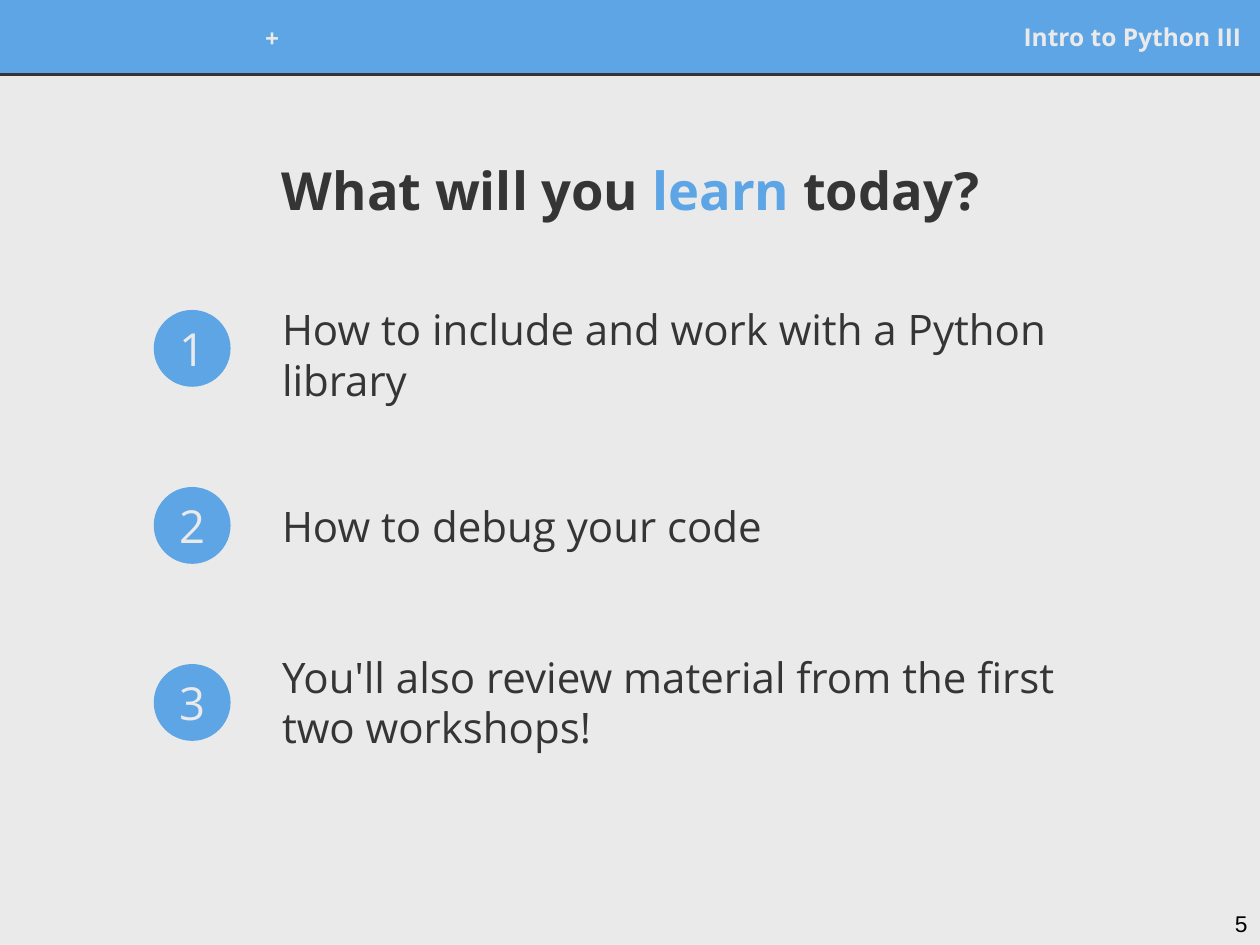
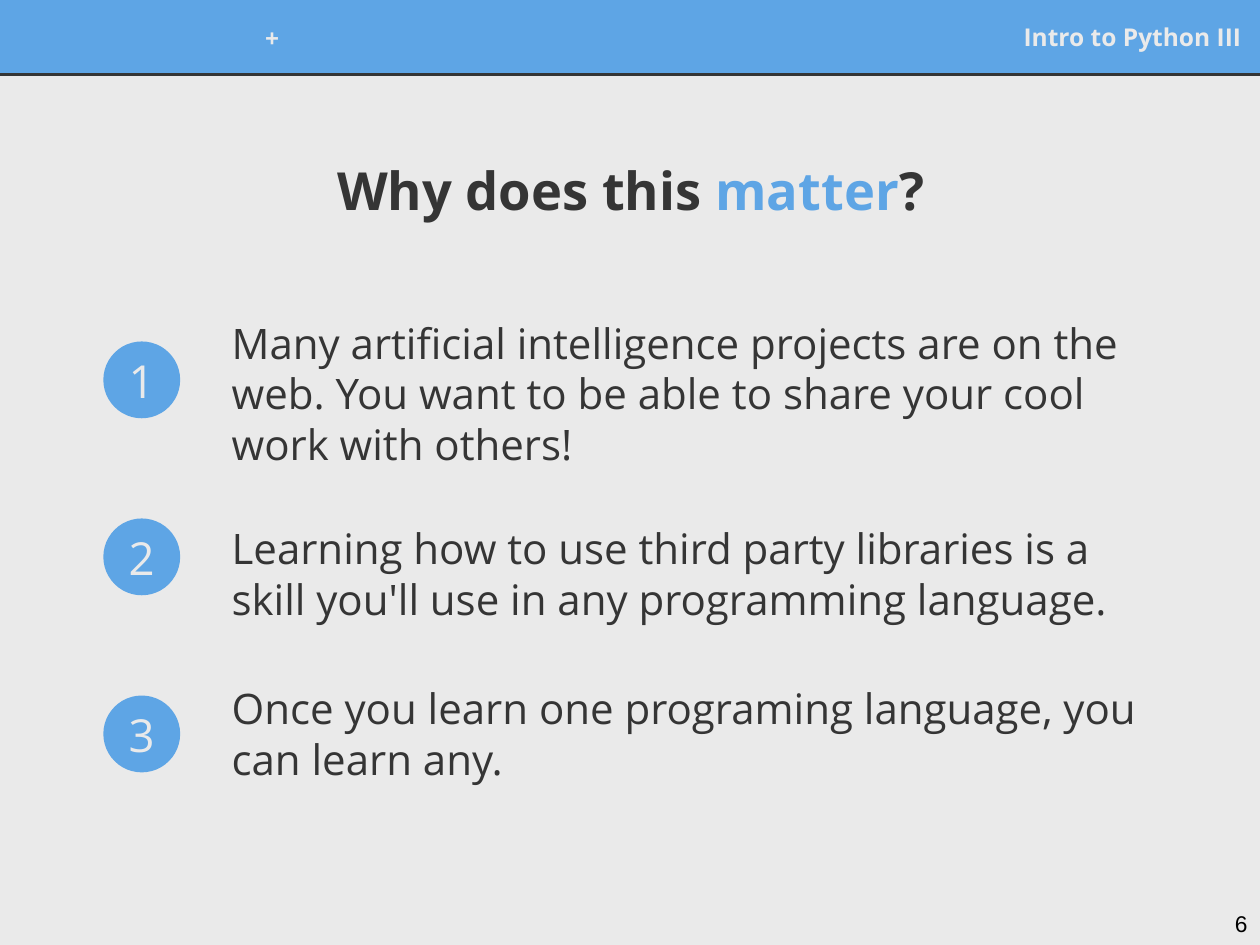
import pptx
import pptx.util
import pptx.dml.color
import pptx.enum.shapes
import pptx.enum.text
import lxml.etree
from pptx.oxml.ns import qn

Inches = pptx.util.Inches
Pt = pptx.util.Pt
RGBColor = pptx.dml.color.RGBColor
ALIGN = pptx.enum.text.PP_ALIGN
ANCHOR = pptx.enum.text.MSO_ANCHOR
SHAPE = pptx.enum.shapes.MSO_SHAPE

BLUE = RGBColor(0x5E, 0xA5, 0xE5)
DARK = RGBColor(0x35, 0x35, 0x35)
PALE = RGBColor(0xEA, 0xEA, 0xEA)
BLACK = RGBColor(0, 0, 0)

SLIDE_WIDTH = 10
BAND_HEIGHT = 0.59
BADGE_SIZE = 0.61
ROW_PITCH = 1.405
FIRST_PAGE = 5

LESSONS = [
    ("How to include and work with a Python library", 0.15, 7.2, 1.0),
    ("How to debug your code", 0.1, 6.64, 0.82),
    ("You'll also review material from the first two workshops!", 0.11, 6.64, 0.82),
]
REASONS = [
    ("Many artificial intelligence projects are on the web. "
     "You want to be able to share your cool work with others!", 0.15, 7.45, 1.12),
    ("Learning how to use third party libraries is a skill "
     "you'll use in any programming language.", 0.1, 7.45, 1.07),
    ("Once you learn one programing language, you can learn any.", 0.11, 7.45, 0.82),
]
TOPICS = [
    ([("What will you ", DARK), ("learn", BLUE), (" today?", DARK)], (1.22, 2.46), LESSONS),
    ([("Why does this ", DARK), ("matter", BLUE), ("?", DARK)], (0.82, 2.71), REASONS),
]


def write(shape, runs, size, align=ALIGN.LEFT, bold=False, font="Open Sans", anchor=ANCHOR.MIDDLE):
    frame = shape.text_frame
    frame.word_wrap = True
    frame.vertical_anchor = anchor
    frame.margin_left = frame.margin_right = Inches(0.1)
    frame.margin_top = frame.margin_bottom = Inches(0.1)
    para = frame.paragraphs[0]
    para.alignment = align
    for text, color in runs:
        span = para.add_run()
        span.text = text
        span.font.name = font
        span.font.size = Pt(size)
        span.font.bold = bold
        span.font.color.rgb = color


def add_text(page, box, runs, size, **style):
    write(page.shapes.add_textbox(*map(Inches, box)), runs, size, **style)


def add_filled(page, kind, box):
    shape = page.shapes.add_shape(kind, *map(Inches, box))
    shape.shadow.inherit = False
    shape.fill.solid()
    shape.fill.fore_color.rgb = BLUE
    return shape


def add_header(page, width, height):
    band = add_filled(page, SHAPE.RECTANGLE, (0, 0, width, height))
    band.line.color.rgb = BLUE
    band.line.width = Pt(0.75)
    rule = page.shapes.add_connector(
        pptx.enum.shapes.MSO_CONNECTOR.STRAIGHT,
        0, Inches(height), Inches(width), Inches(height))
    rule.line.color.rgb = DARK
    rule.line.width = Pt(1.5)
    lxml.etree.SubElement(rule._element.spPr, qn("a:effectLst"))
    add_text(page, (width - 3.76, 0.1, 3.71, 0.38), [("Intro to Python III", PALE)], 14,
             align=ALIGN.RIGHT, bold=True)
    add_text(page, (1.86, 0.11, 0.6, 0.38), [("+", PALE)], 14, align=ALIGN.CENTER, bold=True)


def add_page_number(page, number):
    add_text(page, (9.4, 7.12, 0.6, 0.38), [(str(number), BLACK)], 13,
             align=ALIGN.RIGHT, font="Arial", anchor=ANCHOR.TOP)


def add_numbered_list(page, left, top, items):
    for index, (text, rise, width, height) in enumerate(items):
        row_top = top + index * ROW_PITCH
        badge = add_filled(page, SHAPE.OVAL, (left, row_top, BADGE_SIZE, BADGE_SIZE))
        badge.line.fill.background()
        write(badge, [(str(index + 1), PALE)], 26, align=ALIGN.CENTER)
        add_text(page, (left + BADGE_SIZE + 0.31, row_top - rise, width, height),
                 [(text, DARK)], 24)


def add_list_slide(deck, number, title, corner, items):
    page = deck.slides.add_slide(deck.slide_layouts[6])
    page.background.fill.solid()
    page.background.fill.fore_color.rgb = PALE
    add_header(page, SLIDE_WIDTH, BAND_HEIGHT)
    add_page_number(page, number)
    add_text(page, (0.18, 0.94, 9.65, 1.12), title, 30, align=ALIGN.CENTER, bold=True)
    add_numbered_list(page, *corner, items)


def main():
    deck = pptx.Presentation()
    deck.slide_width = Inches(SLIDE_WIDTH)
    deck.slide_height = Inches(7.5)
    for number, (title, corner, items) in enumerate(TOPICS, FIRST_PAGE):
        add_list_slide(deck, number, title, corner, items)
    deck.save("out.pptx")


if __name__ == "__main__":
    main()
